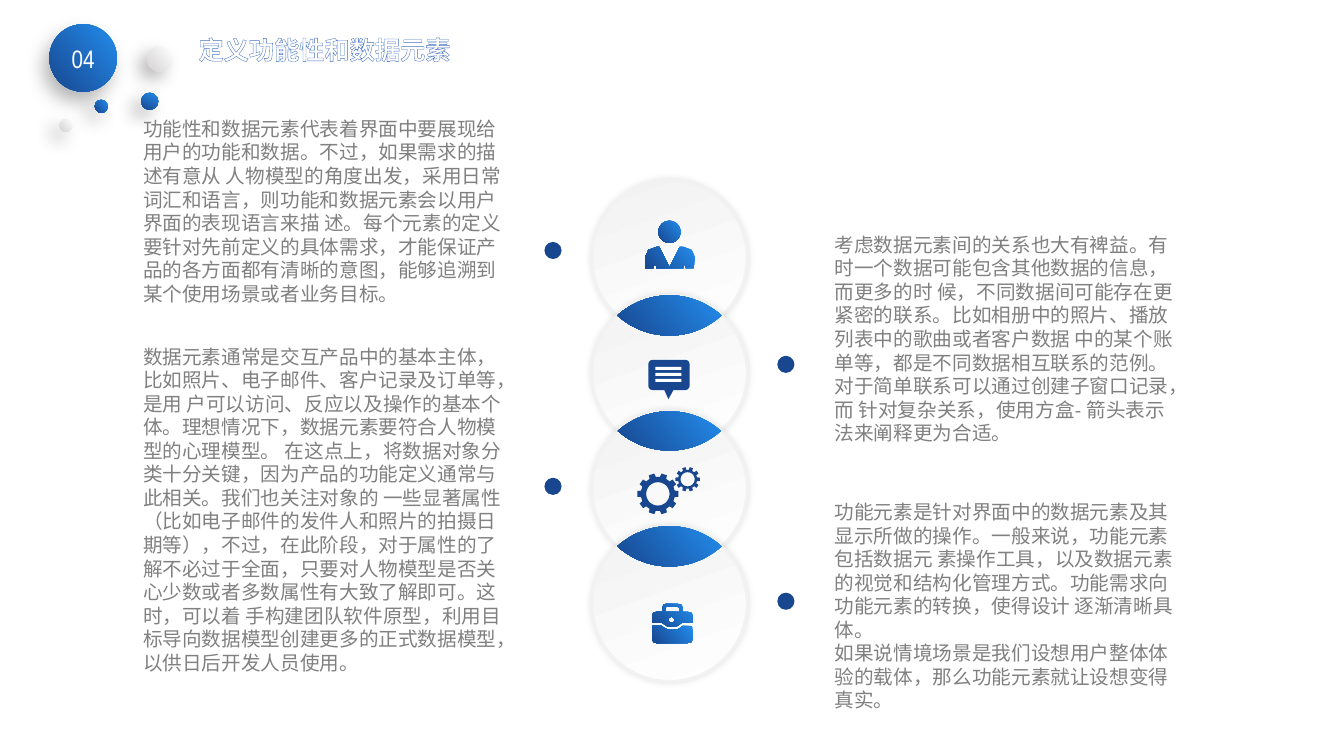
import math
from lxml import etree
from pptx import Presentation, util as u
from pptx.dml.color import RGBColor
from pptx.enum import shapes, text
from pptx.oxml.ns import qn

PX = 9144  # 100 px to the inch
HUES = {"sky": "238DED", "navy": "18478F", "white": "FFFFFF", "pale": "F2F2F2",
        "ash": "D4D2D3", "gray": "808080", "edge": "4472C4", "black": "000000"}
RGB = {name: RGBColor.from_string(code) for name, code in HUES.items()}
BLUE = ("sky", "navy", 140)
BADGE = ("sky", "navy", 120)
SILVER = ("white", "ash", 140)
DISC = ("white", "pale", 250)
OVAL = shapes.MSO_SHAPE.OVAL

prs = Presentation()
prs.slide_width, prs.slide_height = 1333 * PX, 750 * PX
slide = prs.slides.add_slide(prs.slide_layouts[6])
items = slide.shapes


def paint(shape, fill, shade=None):
    """Fill with a hue or (from, to, angle); shade is (alpha %, blur pt, gap pt, angle)."""
    shape.shadow.inherit = False
    shape.line.fill.background()
    if isinstance(fill, str):
        shape.fill.solid()
        shape.fill.fore_color.rgb = RGB[fill]
    else:
        shape.fill.gradient()
        shape.fill.gradient_angle = 360 - fill[2]
        for stop, hue in zip(shape.fill.gradient_stops, fill):
            stop.color.rgb = RGB[hue]
    if shade:
        alpha, blur, gap, turn = shade
        glow = etree.SubElement(shape._element.spPr.find(qn("a:effectLst")), qn("a:outerShdw"),
                                blurRad=str(u.Pt(blur)), dist=str(u.Pt(gap)),
                                dir=str(turn * 60000), algn="ctr", rotWithShape="0")
        tint = etree.SubElement(glow, qn("a:srgbClr"), val=HUES["black"])
        etree.SubElement(tint, qn("a:alpha"), val=str(alpha * 1000))
    return shape


def trace(fill, *loops):
    """Draw closed loops as one shape; inner loops become holes."""
    fine = [[(x * 10, y * 10) for x, y in loop] for loop in loops]
    pen = items.build_freeform(*fine[0][0], scale=PX / 10)
    for i, loop in enumerate(fine):
        if i:
            pen.move_to(*loop[0])
        pen.add_line_segments(loop[1:], close=True)
    return paint(pen.convert_to_shape(), fill)


# Corner badge and its bubbles
for x, y, size, fill, shade in [
        (49, 24, 67, BLUE, (30, 14, 8, 120)), (146, 46, 25, SILVER, (30, 13, 8, 135)),
        (59, 118, 13, SILVER, (30, 13, 8, 135)), (94, 99, 13, BLUE, (30, 13, 8, 135)),
        (140, 92, 17, BADGE, (30, 13, 8, 135))]:
    ball = paint(items.add_shape(OVAL, x * PX, y * PX, size * PX, size * PX), fill, shade)
    if size == 67:
        ball.text_frame.text = "04"
        ball.text_frame.vertical_anchor = text.MSO_ANCHOR.MIDDLE
        par = ball.text_frame.paragraphs[0]
        par.alignment = text.PP_ALIGN.CENTER
        font = par.runs[0].font
        font.size, font.name, font.color.rgb = u.Pt(18), "Arial Narrow", RGB["white"]

# Chain of discs, then the lens where each pair overlaps
MID, TOP, RAD = 664, 256, 77
tops = [TOP + round(114.4 * i) for i in range(4)]
for cy in tops:
    disc = items.add_shape(OVAL, (MID - RAD) * PX, (cy - RAD) * PX, 2 * RAD * PX, 2 * RAD * PX)
    paint(disc, DISC, (11, 5, 0, 0))
    disc.line.color.rgb = RGB["pale"]
    disc.line.width = u.Pt(2)
for up, low in zip(tops, tops[1:]):
    half = math.acos((low - up) / 2 / RAD)
    turns = [half * (k / 12 - 1) for k in range(25)]
    under = [(MID + RAD * math.sin(t), up + RAD * math.cos(t)) for t in turns]
    over = [(MID - RAD * math.sin(t), low - RAD * math.cos(t)) for t in turns]
    trace(BLUE, under + over[1:-1])

# Person
head = paint(items.add_shape(OVAL, 653 * PX, 219 * PX, 22 * PX, 22 * PX), BLUE)
body = trace(BLUE, [
    (640, 266), (640, 255), (643, 248), (651, 245), (654, 245), (664, 265), (674, 245),
    (678, 245), (686, 248), (689, 255), (688, 266), (680, 266), (680, 263), (678, 263),
    (678, 266), (651, 266), (651, 263), (648, 263), (648, 266)])
items.add_group_shape([head, body])

# Gears
gears = []
for cx, cy, tip, root, bore in [(652.5, 490, 20.5, 17, 11.6), (682, 475.5, 12.2, 9.5, 7)]:
    rim = []
    for tooth in range(10):
        for shift, r in [(-11, root), (-8, tip), (8, tip), (11, root)]:
            a = math.radians(36 * tooth + shift)
            rim.append((cx + r * math.cos(a), cy + r * math.sin(a)))
    hole = [(cx + bore * math.cos(k * math.pi / 18), cy + bore * math.sin(k * math.pi / 18))
            for k in range(36)]
    gears.append(trace("navy", rim, hole))
items.add_group_shape(gears)

# Briefcase
clasp = [(666 + 3 * math.cos(k * math.pi / 8), 615 + 3 * math.sin(k * math.pi / 8))
         for k in range(16)]
base = trace(BLUE, [
    (647, 621), (656, 621), (661, 624), (667, 625), (673, 624), (677, 621), (687, 621),
    (687, 634), (686, 637), (682, 638), (651, 638), (648, 637), (647, 634)])
lid = trace(BLUE, [
    (647, 618), (647, 611), (648, 608), (651, 607), (657, 607), (657, 603), (658, 600),
    (661, 599), (672, 599), (676, 600), (677, 603), (677, 607), (682, 607), (686, 608),
    (687, 611), (687, 618), (676, 618), (672, 621), (667, 622), (661, 621), (657, 618)],
    [(660, 607), (660, 603), (661, 602), (672, 602), (674, 603), (674, 607)], clasp)
items.add_group_shape([base, lid])

# Speech bubble
tail = trace("navy", [(658, 385), (669, 385), (663, 396)])
box = items.add_shape(shapes.MSO_SHAPE.ROUNDED_RECTANGLE, 643 * PX, 357 * PX, 41 * PX, 30 * PX)
box.adjustments[0] = 0.14
bubble = [tail, paint(box, "navy")]
for y in range(364, 377, 6):
    bar = items.add_shape(shapes.MSO_SHAPE.RECTANGLE, 650 * PX, y * PX, 26 * PX, 3 * PX)
    bubble.append(paint(bar, "white"))
items.add_group_shape(bubble)

# Marker dots
for x, y in [(540, 240), (771, 353), (540, 474), (771, 588)]:
    paint(items.add_shape(OVAL, x * PX, y * PX, 17 * PX, 17 * PX), "navy")

# Texts
CJK = "Noto Sans CJK SC"
for x, y, w, h, size, face, hue, words in [
    (818, 226, 366, 222, 14, "Open Sans", "gray",
     "考虑数据元素间的关系也大有裨益。有时一个数据可能包含其他数据的信息，而更多的时 候，不同数据间可能存在更紧密的联系。"
     "比如相册中的照片、播放列表中的歌曲或者客户数据 中的某个账单等，都是不同数据相互联系的范例。"
     "对于简单联系可以通过创建子窗口记录，而 针对复杂关系，使用方盒- 箭头表示法来阐释更为合适。"),
    (132, 111, 378, 198, 14, "Open Sans", "gray",
     "功能性和数据元素代表着界面中要展现给用户的功能和数据。不过，如果需求的描述有意从 人物模型的角度出发，"
     "采用日常词汇和语言，则功能和数据元素会以用户界面的表现语言来描 述。"
     "每个元素的定义要针对先前定义的具体需求，才能保证产品的各方面都有清晰的意图，能够追溯到某个使用场景或者业务目标。"),
    (818, 491, 366, 222, 14, "Open Sans", "gray",
     "功能元素是针对界面中的数据元素及其显示所做的操作。一般来说，功能元素包括数据元 素操作工具，"
     "以及数据元素的视觉和结构化管理方式。功能需求向功能元素的转换，使得设计 逐渐清晰具体。\n"
     "如果说情境场景是我们设想用户整体体验的载体，那么功能元素就让设想变得\n真实。"),
    (132, 337, 378, 340, 14, "Open Sans", "gray",
     "数据元素通常是交互产品中的基本主体，比如照片、电子邮件、客户记录及订单等，是用 户可以访问、反应以及操作的基本个体。"
     "理想情况下，数据元素要符合人物模型的心理模型。 在这点上，将数据对象分类十分关键，因为产品的功能定义通常与此相关。"
     "我们也关注对象的 一些显著属性（比如电子邮件的发件人和照片的拍摄日期等），不过，在此阶段，"
     "对于属性的了 解不必过于全面，只要对人物模型是否关心少数或者多数属性有大致了解即可。"
     "这时，可以着 手构建团队软件原型，利用目标导向数据模型创建更多的正式数据模型，以供日后开发人员使用。"),
    (187, 29, 303, 40, 18, CJK, "white", "定义功能性和数据元素"),
]:
    frame = items.add_textbox(x * PX, y * PX, w * PX, h * PX).text_frame
    frame.word_wrap = True
    frame.auto_size = text.MSO_AUTO_SIZE.SHAPE_TO_FIT_TEXT
    frame.text = words
    for par in frame.paragraphs:
        par.line_spacing = u.Pt(size * 1.2)
        run = par.runs[0]
        run.font.size, run.font.name = u.Pt(size), face
        run.font.color.rgb = RGB[hue]
        props = run.font._element
        etree.SubElement(props, qn("a:ea"), typeface=CJK)
        if hue == "white":
            run.font.bold = True
            line = etree.Element(qn("a:ln"), w=str(u.Pt(0.8)))
            ink = etree.SubElement(line, qn("a:solidFill"))
            etree.SubElement(ink, qn("a:srgbClr"), val=HUES["edge"])
            props.insert(0, line)

prs.save("out.pptx")
